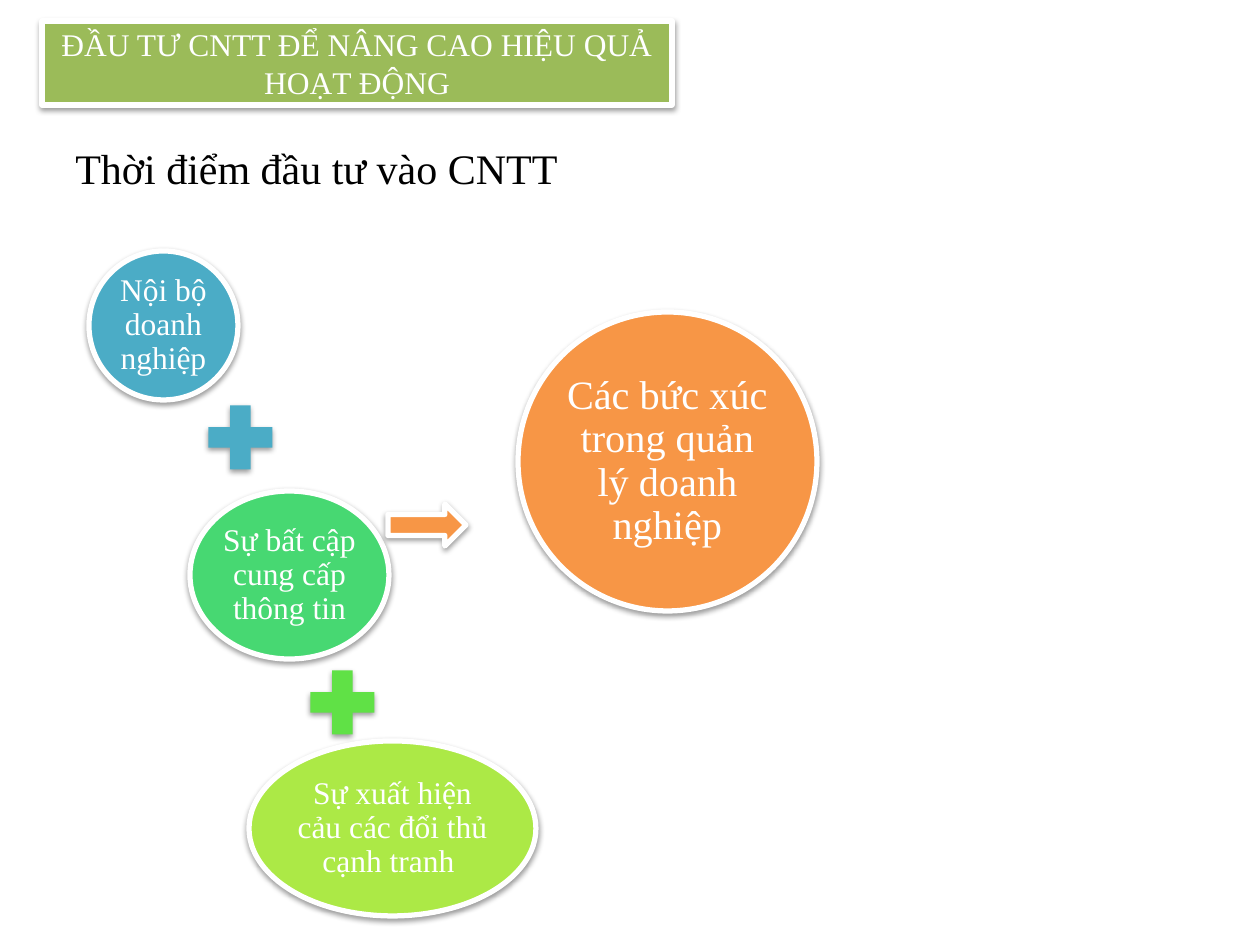
from lxml import etree
from pptx import Presentation
from pptx import util as u
from pptx.dml.color import RGBColor
from pptx.enum import shapes, text
from pptx.oxml.ns import qn

PX = 914400 // 126
FONT = "Times New Roman"
WHITE, BLACK = "FFFFFF", "000000"
GREEN, BLUE, ORANGE = "9BBB59", "4BACC6", "F79646"
KIND = shapes.MSO_SHAPE

TITLE = "ĐẦU TƯ CNTT ĐỂ NÂNG CAO HIỆU QUẢ HOẠT ĐỘNG"
SUBTITLE = "Thời điểm đầu tư vào CNTT"
# wording, box in px, fill, text size
CIRCLES = [
    ("Nội bộ doanh nghiệp", (89, 251, 149, 149), BLUE, 18),
    ("Sự bất cập cung cấp thông tin", (190, 491, 199, 168), "47D872", 18),
    ("Sự xuất hiện cảu các đổi thủ cạnh tranh ", (249, 741, 287, 175), "ACE946", 18),
    ("Các bức xúc trong quản lý doanh nghiệp", (518, 312, 299, 299), ORANGE, 23),
]
PLUSES = [((197, 394, 87, 87), BLUE), ((299, 659, 87, 87), "60E146")]
ARROW = (388, 504, 78, 42)


def rgb(value):
    return RGBColor.from_string(value)


def emu(box):
    return [v * PX for v in box]


def add_shadow(sp):
    """Soft shadow straight below the shape."""
    sp.shadow.inherit = False
    effects = sp._element.spPr.find(qn("a:effectLst"))
    shadow = etree.SubElement(effects, qn("a:outerShdw"), blurRad="40000",
                              dist="20000", dir="5400000", rotWithShape="0")
    color = etree.SubElement(shadow, qn("a:srgbClr"), val=BLACK)
    etree.SubElement(color, qn("a:alpha"), val="38000")


def add_block(s, kind, box, fill, outlined=True):
    sp = s.shapes.add_shape(kind, *emu(box))
    sp.fill.solid()
    sp.fill.fore_color.rgb = rgb(fill)
    if outlined:
        sp.line.color.rgb = rgb(WHITE)
        sp.line.width = u.Pt(3)
    else:
        sp.line.fill.background()
    add_shadow(sp)
    return sp


def write(sp, words, size, color=WHITE, align=text.PP_ALIGN.CENTER):
    tf = sp.text_frame
    tf.word_wrap = True
    p = tf.paragraphs[0]
    p.text = words
    p.alignment = align
    font = p.runs[0].font
    font.name, font.size = FONT, u.Pt(size)
    font.color.rgb = rgb(color)
    return tf


prs = Presentation()
prs.slide_width, prs.slide_height = u.Inches(10), u.Inches(7.5)
s = prs.slides.add_slide(prs.slide_layouts[6])

title = add_block(s, KIND.RECTANGLE, (42, 21, 630, 84), GREEN)
write(title, TITLE, 18).vertical_anchor = text.MSO_ANCHOR.MIDDLE

subtitle = s.shapes.add_textbox(*emu((63, 136, 809, 63)))
tf = write(subtitle, SUBTITLE, 24, BLACK, text.PP_ALIGN.LEFT)
tf.auto_size = text.MSO_AUTO_SIZE.SHAPE_TO_FIT_TEXT

for words, box, fill, size in CIRCLES:
    circle = add_block(s, KIND.OVAL, box, fill)
    tf = write(circle, words, size)
    tf.vertical_anchor = text.MSO_ANCHOR.MIDDLE
    tf.margin_left = tf.margin_right = tf.margin_top = tf.margin_bottom = u.Inches(0.03)
    tf.paragraphs[0].line_spacing = 0.9

for box, fill in PLUSES:
    add_block(s, KIND.MATH_PLUS, box, fill, outlined=False)

add_block(s, KIND.RIGHT_ARROW, ARROW, ORANGE)

prs.save("out.pptx")
